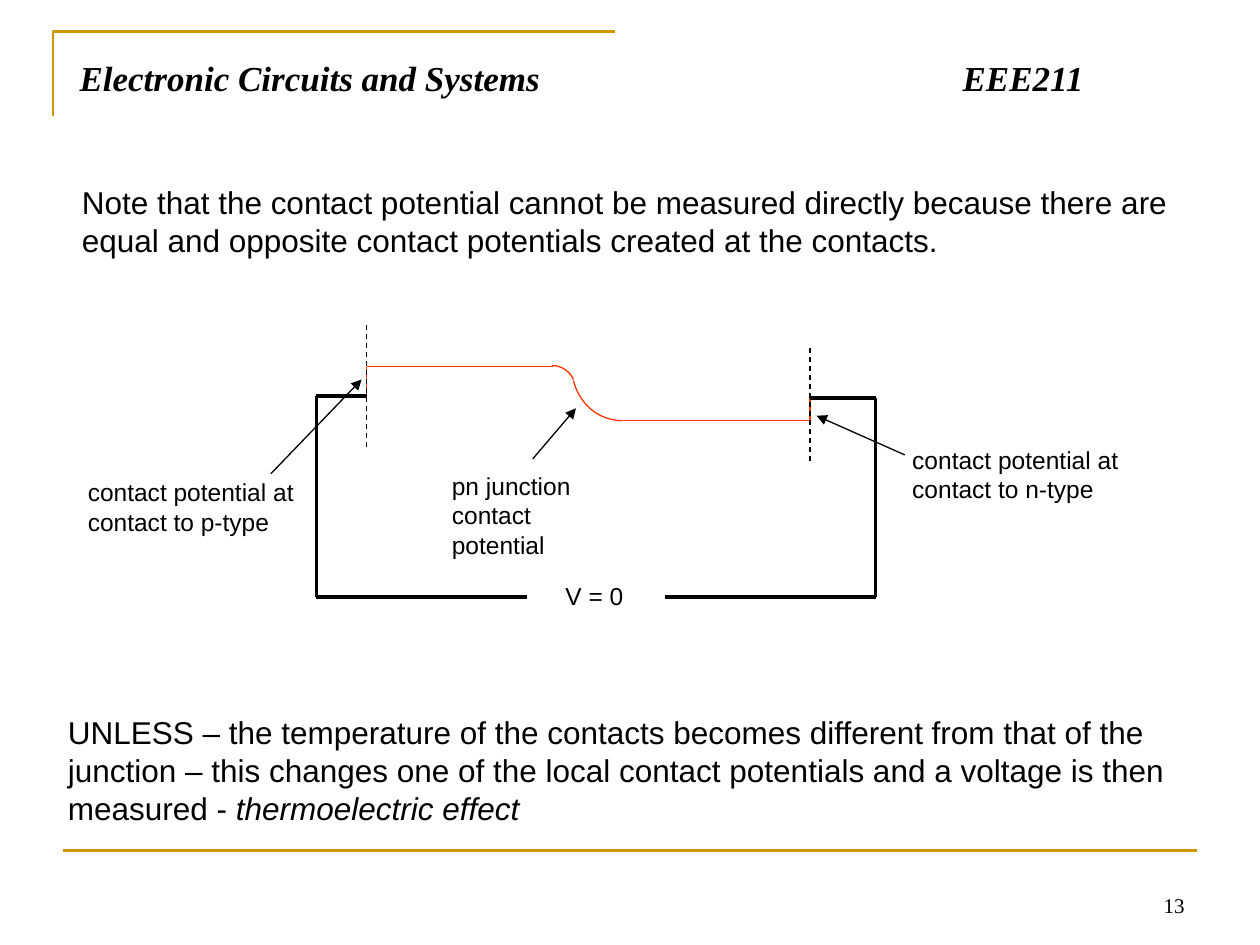
from dataclasses import dataclass

from lxml import etree
from pptx import Presentation
from pptx import util as u
from pptx.dml.color import RGBColor
from pptx.enum import dml, shapes, text
from pptx.oxml.ns import qn


@dataclass(frozen=True)
class Theme:
    ink: RGBColor = RGBColor(0x00, 0x00, 0x00)
    gold: RGBColor = RGBColor(0xCC, 0x99, 0x00)
    red: RGBColor = RGBColor(0xFF, 0x33, 0x00)
    serif: str = "Times New Roman"
    sans: str = "Arial"
    title: float = 20
    body: float = 18
    label: float = 14
    number: float = 12
    thin: float = 0.75
    rule: float = 1.5
    wire: float = 2.25


theme = Theme()
deck = Presentation()
deck.slide_width, deck.slide_height = u.Cm(25.4), u.Cm(19.05)
page = deck.slides.add_slide(deck.slide_layouts[5])


def write_text(words, place, *, box=None, size=theme.label, font=theme.sans,
               bold=False, italic=False, italic_end="",
               align=text.PP_ALIGN.LEFT, anchor=text.MSO_ANCHOR.TOP):
    left, top, width, height = map(u.Cm, place)
    if box is None:
        box = page.shapes.add_textbox(left, top, width, height)
    box.left, box.top, box.width, box.height = left, top, width, height
    frame = box.text_frame
    frame.word_wrap = True
    frame.auto_size = text.MSO_AUTO_SIZE.NONE
    frame.vertical_anchor = anchor
    para = frame.paragraphs[0]
    para.alignment = align
    for part, slanted in ((words, italic), (italic_end, True)):
        if part:
            span = para.add_run()
            span.text = part
            span.font.name, span.font.size = font, u.Pt(size)
            span.font.bold, span.font.italic = bold, slanted
            span.font.color.rgb = theme.ink
    return para


def draw_line(start, end, color=theme.ink, width=theme.thin, dash=False, arrow=False):
    line = page.shapes.add_connector(
        shapes.MSO_CONNECTOR.STRAIGHT, *map(u.Cm, (*start, *end)))
    line.line.color.rgb = color
    line.line.width = u.Pt(width)
    if dash:
        line.line.dash_style = dml.MSO_LINE.DASH
    properties = line._element.spPr
    if arrow:
        etree.SubElement(properties.find(qn("a:ln")), qn("a:tailEnd"), type="triangle")
    etree.SubElement(properties, qn("a:effectLst"))


# Gold corner and bottom rule
corner = page.shapes.build_freeform(u.Cm(1.07), u.Cm(2.34))
corner.add_line_segments(
    [(u.Cm(1.07), u.Cm(0.64)), (u.Cm(12.4), u.Cm(0.64))], close=False)
corner = corner.convert_to_shape()
corner.fill.background()
corner.line.color.rgb = theme.gold
corner.line.width = u.Pt(theme.rule)
corner.shadow.inherit = False
draw_line((1.27, 17.15), (24.13, 17.15), theme.gold, theme.rule)

# Title, with the course code on a tab stop, and page number
heading = write_text("Electronic Circuits and Systems\tEEE211", (1.35, 1.02, 22.66, 1.55),
                     box=page.shapes.title, size=theme.title, font=theme.serif,
                     bold=True, italic=True)
tabs = etree.SubElement(heading._p.get_or_add_pPr(), qn("a:tabLst"))
etree.SubElement(tabs, qn("a:tab"), pos=str(u.Cm(17.8)), algn="l")
write_text("13", (18.21, 17.35, 5.92, 1.27), size=theme.number, font=theme.serif,
           align=text.PP_ALIGN.RIGHT, anchor=text.MSO_ANCHOR.BOTTOM)

# Statements above and below the diagram
write_text("Note that the contact potential cannot be measured directly because there are "
           "equal and opposite contact potentials created at the contacts.",
           (1.4, 3.56, 22.66, 1.78), size=theme.body)
write_text("UNLESS – the temperature of the contacts becomes different from that of the "
           "junction – this changes one of the local contact potentials and a voltage is "
           "then measured - ",
           (1.12, 14.25, 22.66, 2.54), size=theme.body, italic_end="thermoelectric effect")

# Potential levels and the steps at both contacts
p_contact, n_contact = 7.39, 16.33
high, low = 7.39, 8.48
p_wire, n_wire = 7.98, 8.03
for start, end in [
    ((11.15, high), (p_contact, high)),
    ((n_contact, low), (12.55, low)),
    ((p_contact, high), (p_contact, p_wire)),
    ((n_contact, n_wire), (n_contact, low)),
]:
    draw_line(start, end, theme.red)

# Junction bend, sampled from two cubic curves
steps = 24
for curve in [
    ((11.13, 7.37), (11.3, 7.37), (11.48, 7.47), (11.56, 7.65)),
    ((11.56, 7.67), (11.68, 8.15), (12.07, 8.48), (12.55, 8.48)),
]:
    points = []
    for step in range(steps + 1):
        t = step / steps
        weights = ((1 - t) ** 3, 3 * t * (1 - t) ** 2, 3 * t * t * (1 - t), t ** 3)
        points.append(tuple(
            u.Cm(sum(weight * point[axis] for weight, point in zip(weights, curve)))
            for axis in (0, 1)))
    bend = page.shapes.build_freeform(*points[0])
    bend.add_line_segments(points[1:], close=False)
    bend = bend.convert_to_shape()
    bend.fill.background()
    bend.line.color.rgb = theme.red
    bend.line.width = u.Pt(theme.thin)
    bend.shadow.inherit = False

# Outer circuit wires
left_wire, right_wire, bottom = 6.38, 17.65, 12.03
for start, end in [
    ((right_wire, n_wire), (n_contact, n_wire)),
    ((p_contact, p_wire), (left_wire, p_wire)),
    ((left_wire, p_wire), (left_wire, bottom)),
    ((right_wire, n_wire), (right_wire, bottom)),
    ((right_wire, bottom), (13.41, bottom)),
    ((10.62, bottom), (left_wire, bottom)),
]:
    draw_line(start, end, width=theme.wire)

# Contact boundaries
draw_line((p_contact, 6.55), (p_contact, 9.04), dash=True)
draw_line((n_contact, 7.01), (n_contact, 9.35), dash=True)

# Labels and their arrows
for words, place in [
    ("pn junction contact potential", (8.86, 9.37, 3.4, 2.03)),
    ("contact potential at contact to n-type", (18.14, 8.84, 4.8, 1.45)),
    ("contact potential at contact to p-type", (1.52, 9.5, 4.67, 1.45)),
    ("V = 0", (11.15, 11.58, 1.83, 0.84)),
]:
    write_text(words, place)
for start, end in [
    ((5.46, 9.55), (7.29, 7.65)),
    ((18.24, 9.17), (16.46, 8.38)),
    ((10.74, 9.25), (11.61, 8.23)),
]:
    draw_line(start, end, arrow=True)

deck.save("out.pptx")
